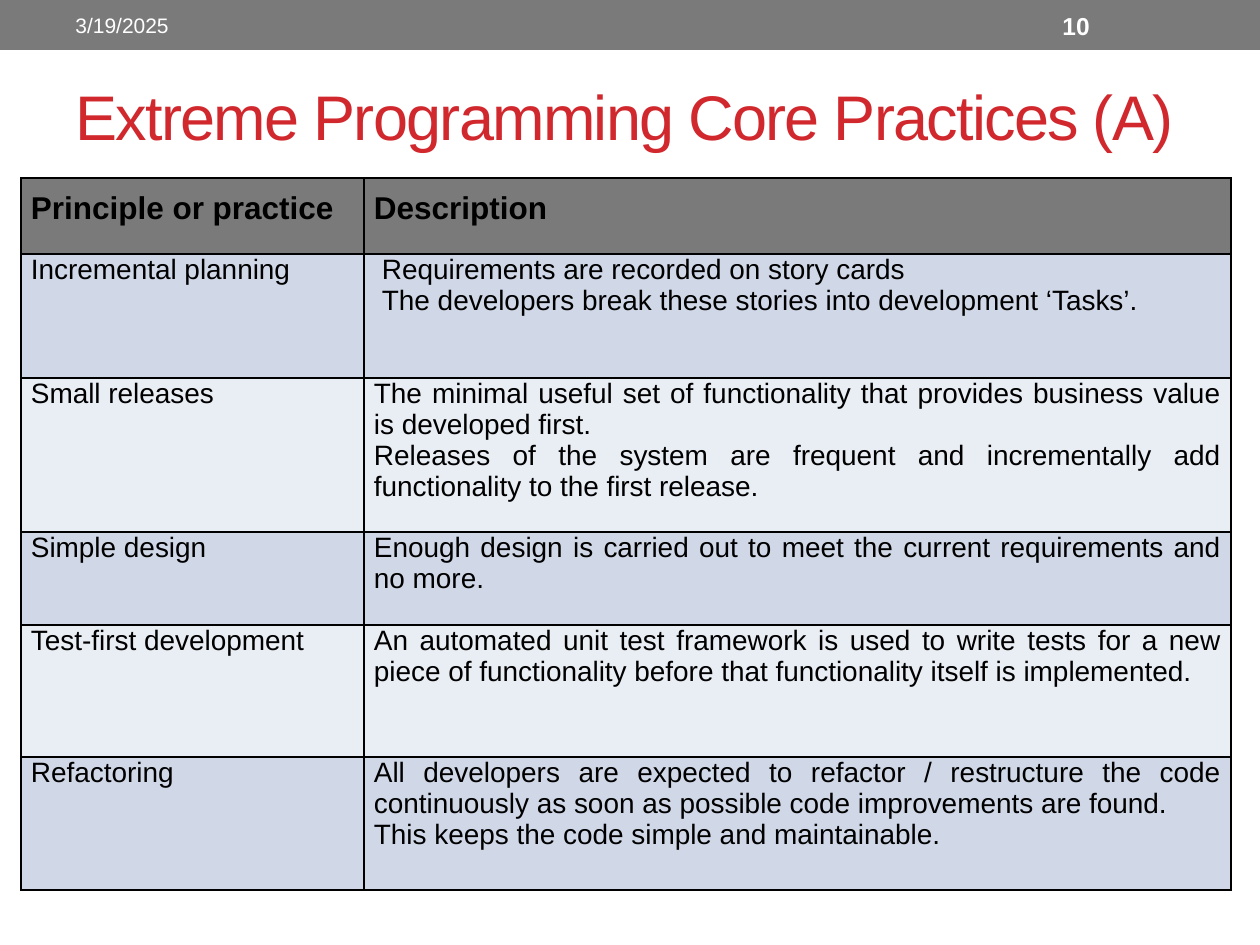
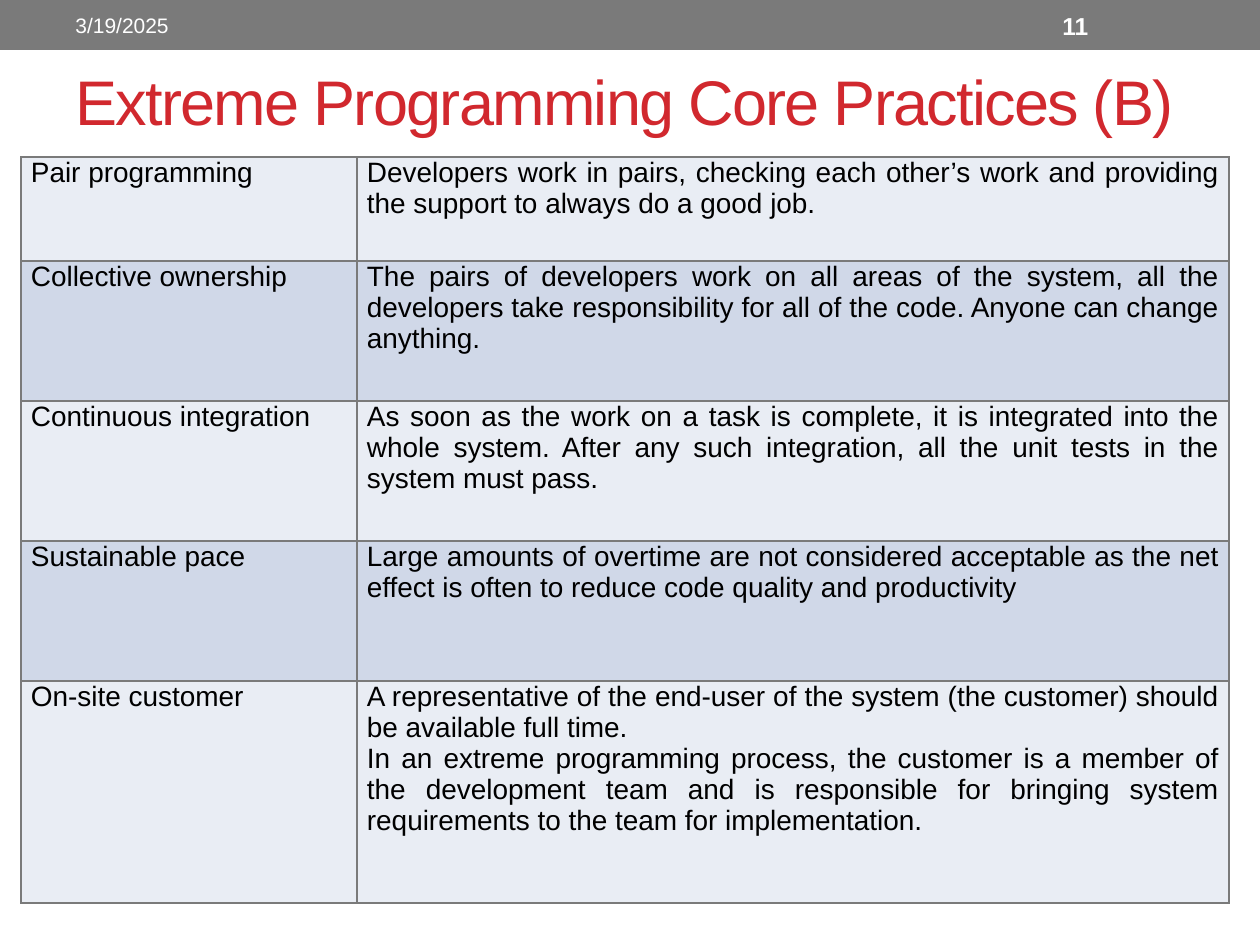
import pptx
import pptx.dml.color
import pptx.enum.shapes
import pptx.enum.text
import pptx.oxml
import pptx.oxml.ns
import pptx.util

RGB = pptx.dml.color.RGBColor
ALIGN = pptx.enum.text.PP_ALIGN
MIDDLE = pptx.enum.text.MSO_ANCHOR.MIDDLE

GREY = RGB(0x7A, 0x7A, 0x7A)
RED = RGB(0xD1, 0x28, 0x2E)
BLACK = RGB(0, 0, 0)
WHITE = RGB(0xFF, 0xFF, 0xFF)
DARK = RGB(0xD0, 0xD8, 0xE8)
LIGHT = RGB(0xE9, 0xED, 0xF4)

FONT = "Arial"
SCALE = 914400 / 126
WIDE, HIGH = 1260, 945
DATE = "3/19/2025"
HEAD = ("Principle or practice", "Description", 76, 0)

PART_A = [
    ("Incremental planning",
     "Requirements are recorded on story cards\n"
     "The developers break these stories into development ‘Tasks’.", 124, 8),
    ("Small releases",
     "The minimal useful set of functionality that provides business value "
     "is developed first.\n"
     "Releases of the system are frequent and incrementally add "
     "functionality to the first release.", 154, 0),
    ("Simple design",
     "Enough design is carried out to meet the current requirements and "
     "no more.", 93, 0),
    ("Test-first development",
     "An automated unit test framework is used to write tests for a new "
     "piece of functionality before that functionality itself is "
     "implemented.", 132, 0),
    ("Refactoring",
     "All developers are expected to refactor / restructure the code "
     "continuously as soon as possible code improvements are found.\n"
     "This keeps the code simple and maintainable.", 133, 0),
]

PART_B = [
    ("Pair programming",
     "Developers work in pairs, checking each other’s work and providing "
     "the support to always do a good job.", 104, 0),
    ("Collective ownership",
     "The pairs of developers work on all areas of the system, all the "
     "developers take responsibility for all of the code. Anyone can "
     "change anything.", 140, 0),
    ("Continuous integration",
     "As soon as the work on a task is complete, it is integrated into the "
     "whole system. After any such integration, all the unit tests in the "
     "system must pass.", 140, 0),
    ("Sustainable pace",
     "Large amounts of overtime are not considered acceptable as the net "
     "effect is often to reduce code quality and productivity", 140, 0),
    ("On-site customer",
     "A representative of the end-user of the system (the customer) should "
     "be available full time.\n"
     "In an extreme programming process, the customer is a member of the "
     "development team and is responsible for bringing system requirements "
     "to the team for implementation.", 222, 0),
]


def px(size):
    return pptx.util.Emu(round(size * SCALE))


def write(frame, text, size=16, color=BLACK, bold=False, align=ALIGN.LEFT,
          lead=0, track=0):
    frame.word_wrap = True
    for i, line in enumerate(text.split("\n")):
        para = frame.add_paragraph() if i else frame.paragraphs[0]
        para.alignment = align
        if lead:
            props = para._p.get_or_add_pPr()
            props.set("marL", str(px(lead)))
            props.set("indent", "0")
        run = para.add_run()
        run.text = line
        run.font.name = FONT
        run.font.size = pptx.util.Pt(size)
        run.font.bold = bold
        run.font.color.rgb = color
        if track:
            run.font._element.set("spc", str(track))


def add_label(slide, box, text, **form):
    label = slide.shapes.add_textbox(*map(px, box))
    label.text_frame.vertical_anchor = MIDDLE
    write(label.text_frame, text, color=WHITE, **form)


def add_band(slide, box, page):
    left, top, width, height = box
    band = slide.shapes.add_shape(
        pptx.enum.shapes.MSO_SHAPE.RECTANGLE, *map(px, box))
    band.shadow.inherit = False
    band.fill.solid()
    band.fill.fore_color.rgb = GREY
    band.line.fill.background()
    add_label(slide, (left + 63, top + 3, 399, height - 5), DATE, size=12)
    add_label(slide, (left + 1050, top + 3, 147, height - 5), str(page),
              size=14, bold=True)


def set_title(slide, box, text):
    title = slide.shapes.title
    title.left, title.top, title.width, title.height = map(px, box)
    frame = title.text_frame
    frame.auto_size = pptx.enum.text.MSO_AUTO_SIZE.NONE
    frame.vertical_anchor = MIDDLE
    write(frame, text, size=36, color=RED, track=-100)


def add_edges(cell, color):
    props = cell._tc.get_or_add_tcPr()
    for side in ("lnL", "lnR", "lnT", "lnB"):
        props.append(pptx.oxml.parse_xml(
            f'<a:{side} {pptx.oxml.ns.nsdecls("a")} w="12700"><a:solidFill>'
            f'<a:srgbClr val="{color}"/></a:solidFill></a:{side}>'))


def add_grid(slide, box, split, rows, edge):
    width = box[2]
    frame = slide.shapes.add_table(len(rows), 2, *map(px, box))
    table = frame.table
    table.first_row = rows[0] is HEAD
    table.columns[0].width = px(split)
    table.columns[1].width = px(width - split)
    for i, (name, note, height, lead) in enumerate(rows):
        table.rows[i].height = px(height)
        head = rows[i] is HEAD
        fill = GREY if head else DARK if i % 2 else LIGHT
        for j, text in enumerate((name, note)):
            cell = table.cell(i, j)
            cell.margin_left = cell.margin_right = px(10)
            cell.margin_top = px(13 if head else 0)
            cell.margin_bottom = px(13)
            add_edges(cell, edge)
            cell.fill.solid()
            cell.fill.fore_color.rgb = fill
            write(cell.text_frame, text, size=18 if head else 16, bold=head,
                  align=ALIGN.JUSTIFY, lead=lead if j else 0)


def add_page(deck, page, part, title, grid, split, rows, edge):
    slide = deck.slides.add_slide(deck.slide_layouts[5])
    add_band(slide, (0, 0, WIDE, 50), page)
    set_title(slide, title, f"Extreme Programming Core Practices ({part})")
    left, top, width = grid
    height = sum(row[2] for row in rows)
    add_grid(slide, (left, top, width, height), split, rows, edge)


def main():
    deck = pptx.Presentation()
    deck.slide_width, deck.slide_height = px(WIDE), px(HIGH)
    add_page(deck, 10, "A", (63, 63, 1134, 105), (21, 178, 1210), 343,
             [HEAD] + PART_A, BLACK)
    add_page(deck, 11, "B", (63, 53, 1134, 95), (21, 157, 1208), 336,
             PART_B, GREY)
    deck.save("out.pptx")


if __name__ == "__main__":
    main()
